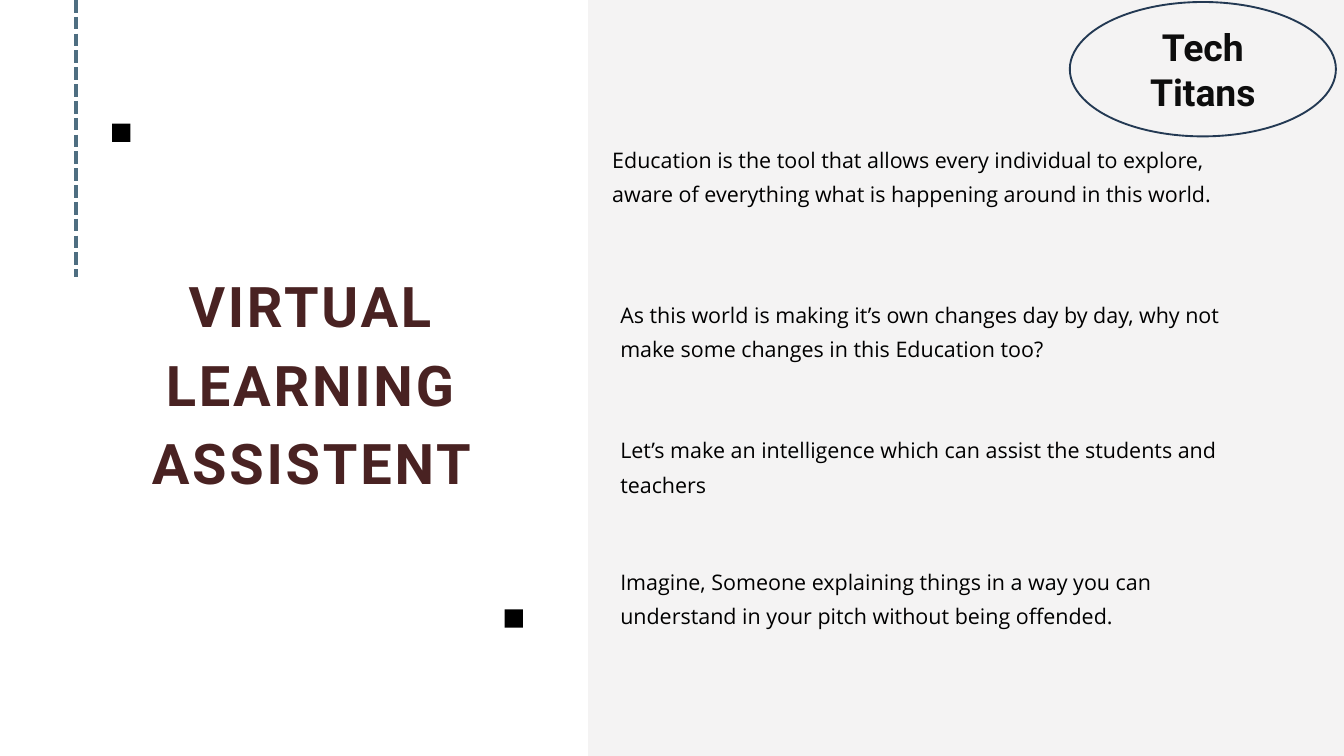
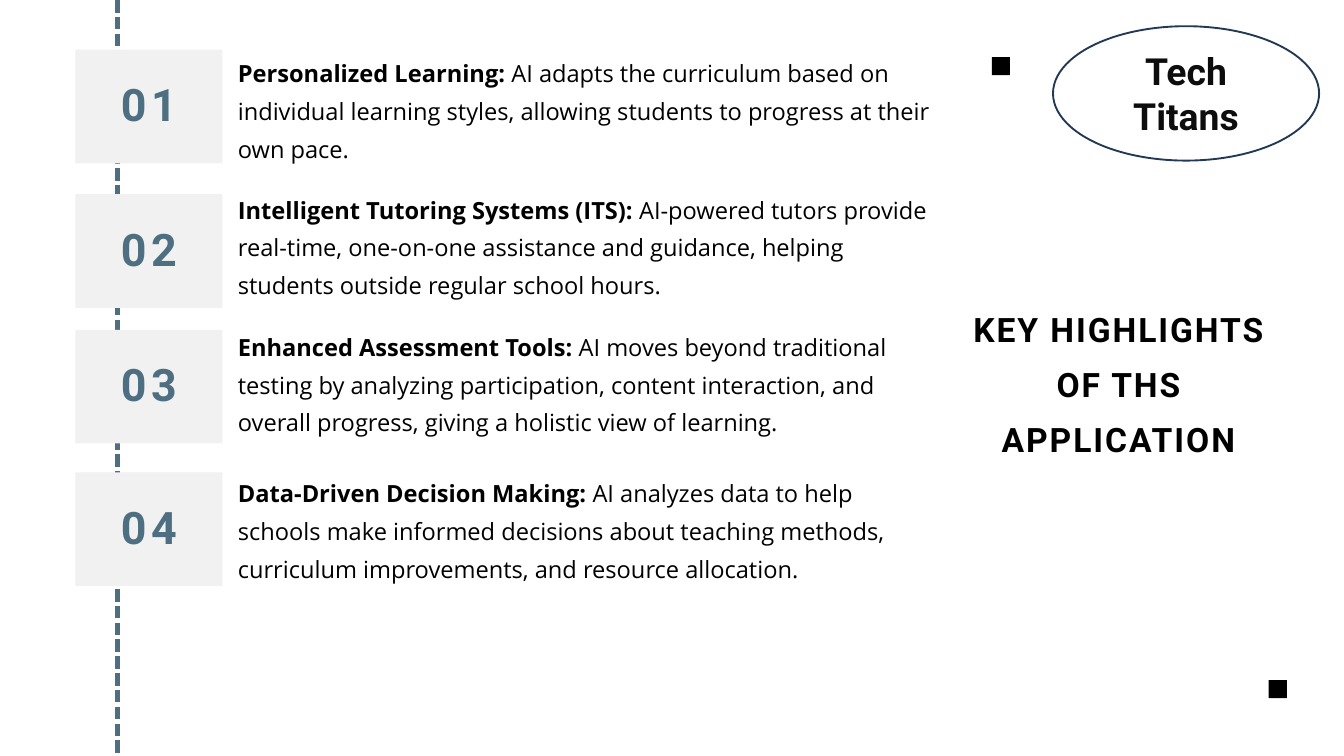
from dataclasses import dataclass

from lxml import etree
from pptx import Presentation
from pptx import util as u
from pptx.dml.color import RGBColor
from pptx.enum import dml, shapes, text
from pptx.oxml import ns

COLS, ROWS = 20, 11.25
CELL = u.Inches(1)
SQUARE = 0.27


@dataclass(frozen=True)
class Style:
    """Look of one kind of text."""
    size: float
    font: str
    color: str
    bold: bool = False
    leading: float = 0
    tracking: float = 0
    align: text.PP_ALIGN = text.PP_ALIGN.LEFT


@dataclass(frozen=True)
class Theme:
    """Colours and type styles of both slides."""
    black: str = "000000"
    panel: str = "F2F1F1"
    steel: str = "4E6E81"
    navy: str = "233953"
    title: Style = Style(60, "Roboto", "492222", True, 84, 3, text.PP_ALIGN.CENTER)
    heading: Style = Style(36, "Roboto", "000000", True, 58.8, 2.1, text.PP_ALIGN.CENTER)
    number: Style = Style(48, "Roboto", "4E6E81", True, 72, 4.8, text.PP_ALIGN.CENTER)
    badge: Style = Style(40, "Roboto", "0D0D0D", True, align=text.PP_ALIGN.CENTER)
    statement: Style = Style(23, "Open Sans", "000000", leading=36.8)
    highlight: Style = Style(25.3, "Open Sans", "000000", leading=40.5)


THEME = Theme()

STATEMENTS = [
    (9.11, 2.06, "Education is the tool that allows every individual to explore, "
                 "aware of everything what is happening around in this world."),
    (9.23, 4.36, "As this world is making it’s own changes day by day, "
                 "why not make some changes in this Education too?"),
    (9.23, 6.38, "Let’s make an intelligence which can assist the students and teachers"),
    (9.23, 8.34, "Imagine, Someone explaining things in a way you can understand "
                 "in your pitch without being offended."),
]

HIGHLIGHTS = [
    (0.74, 0.74, "Personalized Learning:",
     " AI adapts the curriculum based on individual learning styles, "
     "allowing students to progress at their own pace."),
    (2.89, 2.77, "Intelligent Tutoring Systems (ITS):",
     " AI-powered tutors provide real-time, one-on-one assistance and guidance, "
     "helping students outside regular school hours."),
    (4.91, 4.81, "Enhanced Assessment Tools:",
     " AI moves beyond traditional testing by analyzing participation, "
     "content interaction, and overall progress, giving a holistic view of learning."),
    (7.03, 6.99, "Data-Driven Decision Making:",
     " AI analyzes data to help schools make informed decisions about teaching methods, "
     "curriculum improvements, and resource allocation."),
]


def grid(*cells):
    """Turn columns and rows into slide lengths."""
    return [round(c * CELL) for c in cells]


def rgb(color):
    """Turn a hex string into a colour."""
    return RGBColor.from_string(color)


def write(tf, paragraphs, style, lead_bold=False):
    """Fill a text frame with paragraphs, each a list of runs."""
    tf.word_wrap = True
    for i, runs in enumerate(paragraphs):
        p = tf.paragraphs[0] if i == 0 else tf.add_paragraph()
        p.alignment = style.align
        if style.leading:
            p.line_spacing = u.Pt(style.leading)
        for j, words in enumerate(runs):
            r = p.add_run()
            r.text = words
            r.font.size = u.Pt(style.size)
            r.font.name = style.font
            r.font.bold = style.bold or (lead_bold and j == 0)
            r.font.color.rgb = rgb(style.color)
            if style.tracking:
                r._r.get_or_add_rPr().set("spc", str(round(style.tracking * 100)))


def add_text(s, box, paragraphs, style, inset=0, lead_bold=False):
    """Add a text box that wraps inside its width."""
    tf = s.shapes.add_textbox(*grid(*box)).text_frame
    tf.margin_left = tf.margin_right = tf.margin_top = tf.margin_bottom = u.Inches(inset)
    write(tf, paragraphs, style, lead_bold)
    return tf


def add_block(s, box, color, opacity=100):
    """Add a plain filled rectangle."""
    sp = s.shapes.add_shape(shapes.MSO_SHAPE.RECTANGLE, *grid(*box))
    sp.shadow.inherit = False
    sp.fill.solid()
    sp.fill.fore_color.rgb = rgb(color)
    sp.line.fill.background()
    if opacity < 100:
        clr = sp.fill._xPr.find(".//" + ns.qn("a:srgbClr"))
        etree.SubElement(clr, ns.qn("a:alpha"), val=str(opacity * 1000))


def add_square(s, left, top):
    """Add a small black corner mark."""
    add_block(s, (left, top, SQUARE, SQUARE), THEME.black)


def add_dashes(s, column, bottom):
    """Add a dashed vertical line from the top edge."""
    cn = s.shapes.add_connector(shapes.MSO_CONNECTOR.STRAIGHT, *grid(column, 0, column, bottom))
    cn.line.color.rgb = rgb(THEME.steel)
    cn.line.width = u.Pt(4.5)
    cn.line.dash_style = dml.MSO_LINE.SQUARE_DOT
    cn.line._ln.find(ns.qn("a:prstDash")).set("val", "sysDash")
    etree.SubElement(cn._element.spPr, ns.qn("a:effectLst"))


def add_badge(s, left, top):
    """Add the outlined team-name ellipse."""
    sp = s.shapes.add_shape(shapes.MSO_SHAPE.OVAL, *grid(left, top, 3.96, 2))
    sp.shadow.inherit = False
    sp.fill.background()
    sp.line.color.rgb = rgb(THEME.navy)
    sp.line.width = u.Pt(2)
    sp.text_frame.vertical_anchor = text.MSO_ANCHOR.MIDDLE
    write(sp.text_frame, [["Tech Titans"]], THEME.badge)


def add_number(s, top, number):
    """Add a numbered panel on the dashed line."""
    left, width, height, rise = 1.12, 2.19, 1.69, 0.28
    add_block(s, (left, top, width, height), THEME.panel)
    tf = add_text(s, (left, top - rise, width, height + rise),
                  [[f"{number:02}"]], THEME.number, inset=0.06)
    tf.vertical_anchor = text.MSO_ANCHOR.MIDDLE


def build_intro(s):
    """Build the title and its statements."""
    split = 8.75
    add_dashes(s, 1.13, 4.12)
    add_block(s, (split, 0, COLS - split, ROWS), THEME.panel, opacity=80)
    add_text(s, (0.8, 3.88, 7.67, 3.49), [["VIRTUAL LEARNING ASSISTENT"]], THEME.title)
    for left, top, words in STATEMENTS:
        add_text(s, (left, top, 9.51, 0.98), [[words]], THEME.statement)
    add_square(s, 1.67, 1.84)
    add_square(s, 7.51, 9.07)
    add_badge(s, 15.92, 0.03)


def build_highlights(s):
    """Build the numbered list of highlights."""
    add_dashes(s, 1.75, ROWS)
    for number, (panel_top, text_top, lead, rest) in enumerate(HIGHLIGHTS, 1):
        add_number(s, panel_top, number)
        add_text(s, (3.54, text_top, 10.4, 1.63), [[lead, rest]], THEME.highlight, lead_bold=True)
    add_square(s, 14.76, 0.85)
    add_square(s, 18.88, 10.12)
    add_text(s, (13.93, 4.38, 5.43, 2.42),
             [["KEY HIGHLIGHTS"], ["OF THS"], ["APPLICATION"]], THEME.heading)
    add_badge(s, 15.67, 0.39)


def main():
    """Build both slides and save them."""
    prs = Presentation()
    prs.slide_width, prs.slide_height = grid(COLS, ROWS)
    for build in (build_intro, build_highlights):
        build(prs.slides.add_slide(prs.slide_layouts[6]))
    prs.save("out.pptx")


if __name__ == "__main__":
    main()
